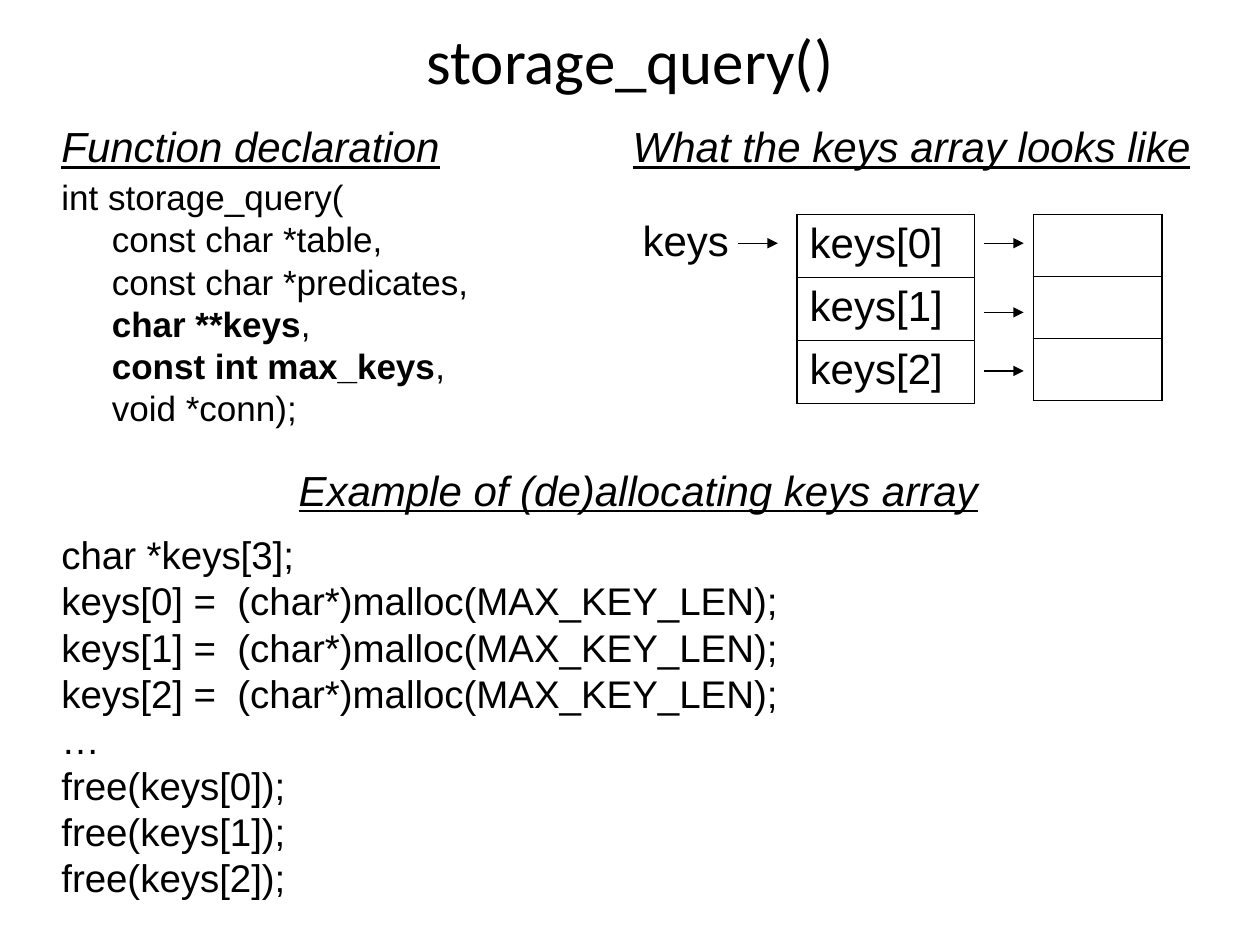
from pptx import Presentation
from pptx.dml.color import RGBColor
from pptx.enum.shapes import MSO_CONNECTOR
from pptx.enum.text import MSO_ANCHOR, PP_ALIGN
from pptx.oxml.ns import qn
from pptx.util import Pt
from lxml import etree

STRAIGHT = MSO_CONNECTOR.STRAIGHT
MIDDLE = MSO_ANCHOR.MIDDLE
CENTER = PP_ALIGN.CENTER
BORDER_SIDES = ("a:lnL", "a:lnR", "a:lnT", "a:lnB")


def color(value):
    return RGBColor.from_string(value)


class SlideBuilder:
    """Holds the style and the current slide."""

    ink = "000000"
    body_font = "Arial"
    title_font = "Calibri"
    heading_size = 24
    indent = 28.8

    def __init__(self, page):
        self.page = page

    def style(self, span, size, font=None, bold=False):
        span.font.name = font or self.body_font
        span.font.size = Pt(size)
        span.font.bold = bold
        span.font.color.rgb = color(self.ink)

    def text(self, left, top, width, height, content, size, font=None):
        box = self.page.shapes.add_textbox(Pt(left), Pt(top), Pt(width), Pt(height))
        frame = box.text_frame
        frame.word_wrap = True
        frame.text = content
        for para in frame.paragraphs:
            for span in para.runs:
                self.style(span, size, font)
        return frame

    def title(self, content):
        frame = self.text(36, 0, 648, 67.5, content, 36, self.title_font)
        frame.vertical_anchor = MIDDLE
        frame.paragraphs[0].alignment = CENTER

    def heading(self, left, top, width, content):
        frame = self.text(left, top, width, 36.5, content, self.heading_size)
        font = frame.paragraphs[0].runs[0].font
        font.italic = font.underline = True

    def declaration(self, left, top, width, height, opening, parameters, size):
        """Write a function head with indented (bold, regular) parameters."""
        frame = self.text(left, top, width, height, opening, size)
        for bold, regular in parameters:
            para = frame.add_paragraph()
            para._p.get_or_add_pPr().set("marL", str(Pt(self.indent)))
            for content, is_bold in ((bold, True), (regular, False)):
                if content:
                    span = para.add_run()
                    span.text = content
                    self.style(span, size, bold=is_bold)

    def column(self, left, top, width, row_height, labels, bordered=True):
        """Draw a one-column table."""
        frame = self.page.shapes.add_table(
            len(labels), 1, Pt(left), Pt(top), Pt(width), Pt(row_height * len(labels)))
        table = frame.table
        table.first_row = table.horz_banding = False
        for row, label in zip(table.rows, labels):
            row.height = Pt(row_height)
            cell = row.cells[0]
            if label:
                cell.text = label
                self.style(cell.text_frame.paragraphs[0].runs[0], self.heading_size)
            if bordered:
                self.border(cell)
            cell.fill.background()

    def border(self, cell):
        properties = cell._tc.get_or_add_tcPr()
        for side in BORDER_SIDES:
            line = etree.SubElement(properties, qn(side), w=str(Pt(1)))
            fill = etree.SubElement(line, qn("a:solidFill"))
            etree.SubElement(fill, qn("a:srgbClr"), val=self.ink)

    def arrow(self, left, top, length=22.5):
        arrow = self.page.shapes.add_connector(
            STRAIGHT, Pt(left), Pt(top), Pt(left + length), Pt(top))
        arrow.line.width = Pt(0.75)
        arrow.line.color.rgb = color(self.ink)
        etree.SubElement(arrow.line._get_or_add_ln(), qn("a:tailEnd"), type="triangle")
        etree.SubElement(arrow._element.spPr, qn("a:effectLst"))


def main():
    deck = Presentation()
    deck.slide_width, deck.slide_height = Pt(720), Pt(540)
    slide = SlideBuilder(deck.slides.add_slide(deck.slide_layouts[6]))
    margin = 28
    keys = [f"keys[{index}]" for index in range(3)]

    slide.title("storage_query()")

    slide.heading(margin, 65.5, 276, "Function declaration")
    slide.declaration(margin, 97, 298, 167, "int storage_query(", [
        ("", "const char *table,"),
        ("", "const char *predicates,"),
        ("char **keys", ","),
        ("const int max_keys", ","),
        ("", "void *conn);"),
    ], 20)

    slide.heading(354.5, 65.5, 343.5, "What the keys array looks like")
    slide.column(360, 121.5, 84, 36, ["keys"], bordered=False)
    slide.column(455.5, 122.5, 101.5, 36, keys)
    slide.column(590.5, 122.5, 73.5, 35.5, [""] * 3)
    slide.arrow(422, 139)
    for top in (139, 178.5, 212):
        slide.arrow(562.5, top)

    slide.heading(163.5, 262, 427.5, "Example of (de)allocating keys array")
    code = ["char *keys[3];"]
    code += [f"{key} =  (char*)malloc(MAX_KEY_LEN);" for key in keys]
    code += ["…"]
    code += [f"free({key});" for key in keys]
    slide.text(margin, 300, 742, 220, "\n".join(code), 22)

    deck.save("out.pptx")


if __name__ == "__main__":
    main()
